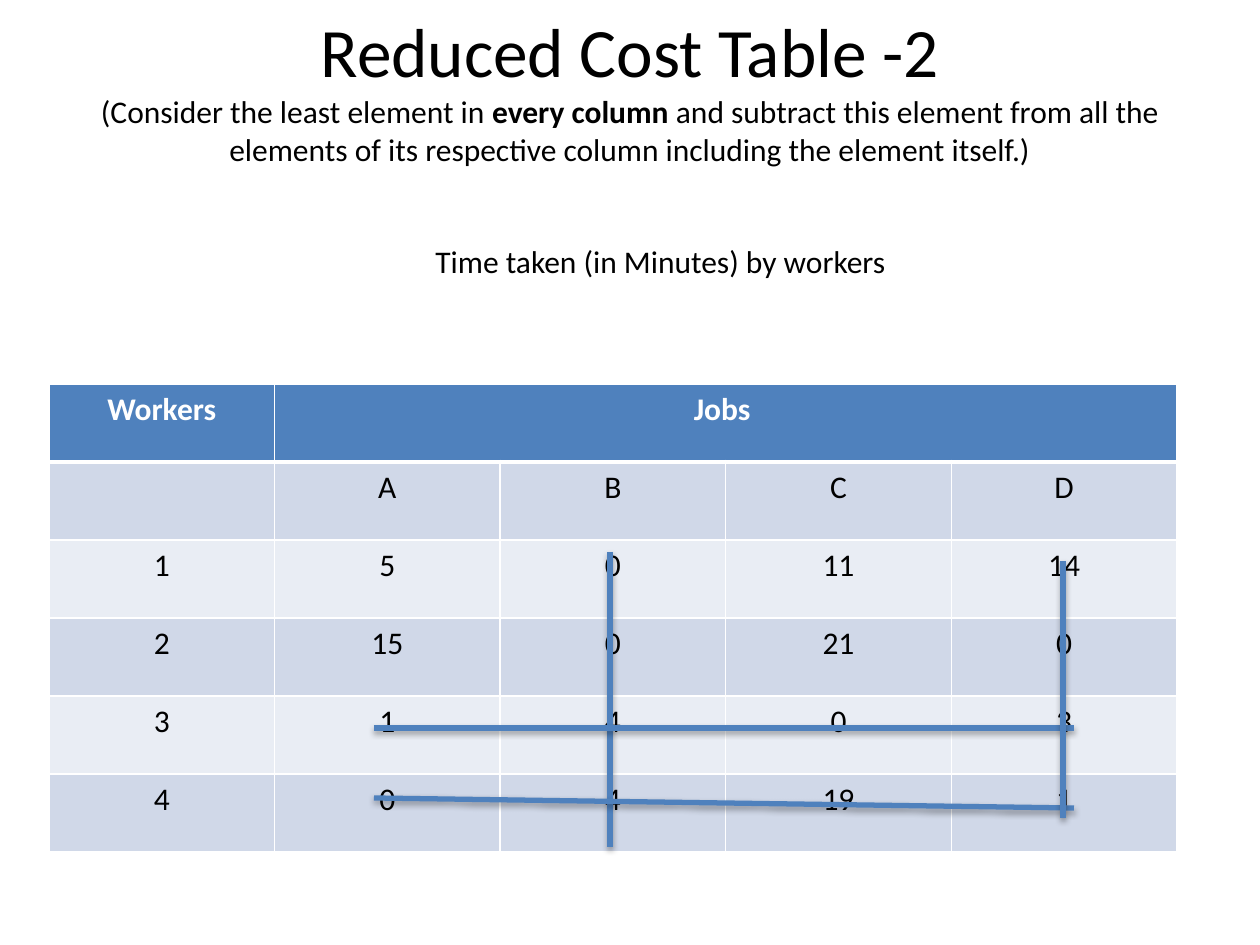
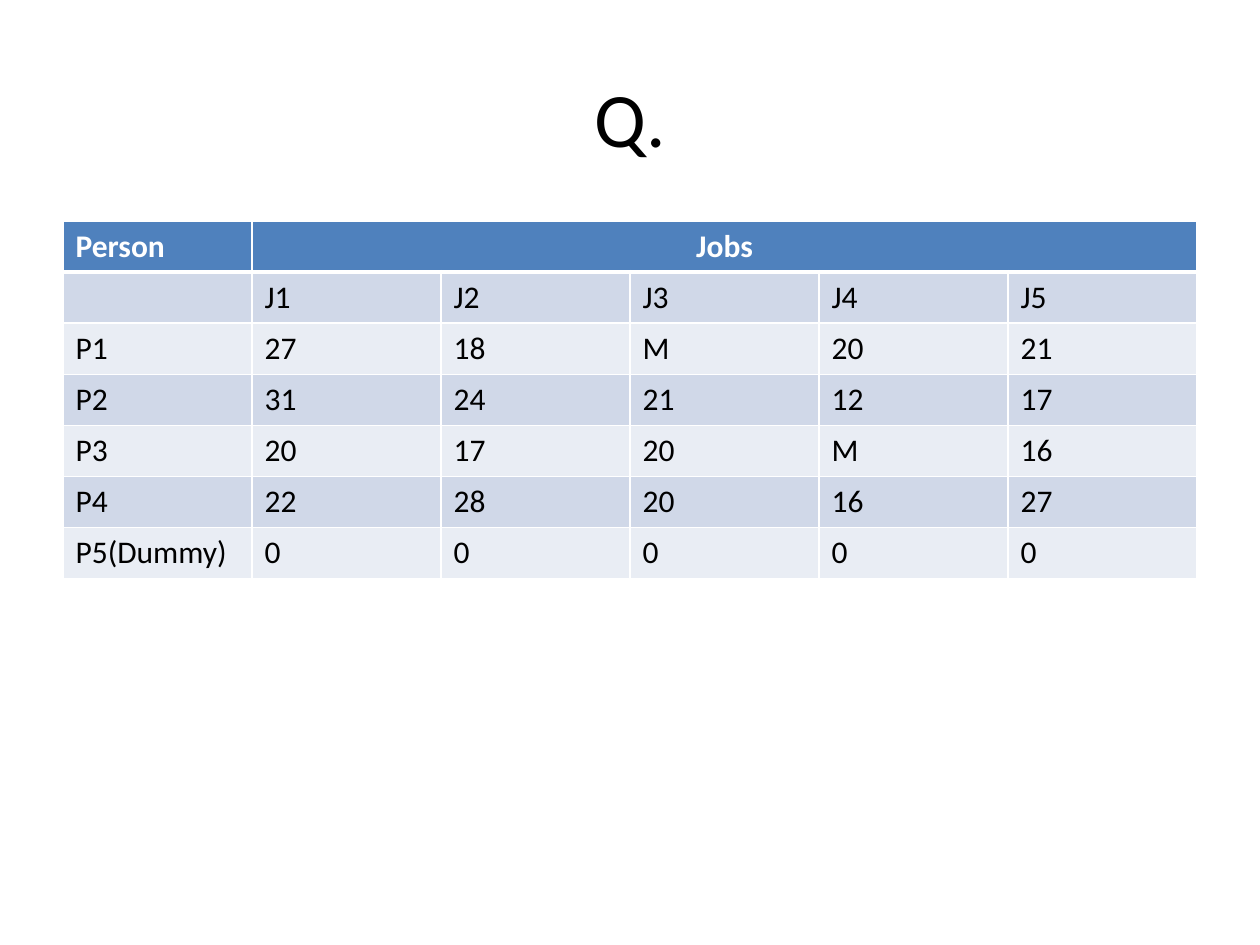
from lxml.etree import SubElement
from pptx import Presentation
from pptx.dml.color import RGBColor
from pptx.enum.shapes import MSO_CONNECTOR
from pptx.enum.text import MSO_ANCHOR, MSO_AUTO_SIZE, PP_ALIGN
from pptx.oxml.ns import qn
from pptx.util import Pt

# Shared look
PX = 914400 / 126
FONT = "Calibri"
BODY = 18
BLACK = RGBColor(0x00, 0x00, 0x00)
WHITE = RGBColor(0xFF, 0xFF, 0xFF)
BLUE = RGBColor(0x4F, 0x81, 0xBD)
BANDS = [RGBColor(0xE9, 0xED, 0xF4), RGBColor(0xD0, 0xD8, 0xE8)]

# Table contents: header row first, its second cell spans the rest
COSTS = [
    ["Workers", "Jobs "],
    ["", "A", "B", "C", "D"],
    ["1", "5", "0", "11", "14"],
    ["2", "15", "0", "21", "0"],
    ["3", "1", "4", "0", "3"],
    ["4", "0", "4", "19", "1"],
]
TIMES = [
    ["Person", "Jobs"],
    ["", "J1", "J2", "J3", "J4", "J5"],
    ["P1", "27", "18", "M", "20", "21"],
    ["P2", "31", "24", "21", "12", "17"],
    ["P3", "20", "17", "20", "M", "16"],
    ["P4", "22", "28", "20", "16", "27"],
    ["P5(Dummy)", "0", "0", "0", "0", "0"],
]

# Lines that cover the zeros: x1, y1, x2, y2
COVERS = [
    (610, 552, 610, 847),
    (374, 798, 1074, 808),
    (374, 728, 1074, 728),
    (1063, 561, 1063, 818),
]


def emu(*sizes):
    return [round(size * PX) for size in sizes]


def style(font, size=BODY, color=BLACK, bold=False):
    font.name = FONT
    font.size = Pt(size)
    font.bold = bold
    font.color.rgb = color


def add_title(slide, height, runs):
    """Fill the title with runs of (text, size, bold)."""
    title = slide.shapes.title
    title.left, title.top, title.width, title.height = emu(63, 38, 1134, height)
    frame = title.text_frame
    frame.auto_size = MSO_AUTO_SIZE.NONE
    frame.vertical_anchor = MSO_ANCHOR.MIDDLE
    para = frame.paragraphs[0]
    para.alignment = PP_ALIGN.CENTER
    for index, (text, size, bold) in enumerate(runs):
        if index == 1:
            para.add_line_break()
        run = para.add_run()
        run.text = text
        style(run.font, size, BLACK, bold)


def add_note(slide, box, text):
    frame = slide.shapes.add_textbox(*emu(*box)).text_frame
    frame.word_wrap = True
    para = frame.paragraphs[0]
    para.text = text
    style(para.font)


def edge(cell, side, width):
    props = cell._tc.get_or_add_tcPr()
    line = SubElement(props, qn("a:ln" + side), w=str(Pt(width)))
    fill = SubElement(line, qn("a:solidFill"))
    SubElement(fill, qn("a:srgbClr"), val=str(WHITE))


def add_grid(slide, box, rows, align):
    count = len(rows[-1])
    table = slide.shapes.add_table(len(rows), count, *emu(*box)).table
    for r, row in enumerate(rows):
        head = r == 0
        for c in range(count):
            cell = table.cell(r, c)
            for side in "LRTB":
                thick = (r, side) in [(0, "B"), (1, "T")]
                edge(cell, side, 3 if thick else 1)
            cell.fill.solid()
            cell.fill.fore_color.rgb = BLUE if head else BANDS[r % 2]
            if c < len(row) and row[c]:
                para = cell.text_frame.paragraphs[0]
                para.text = row[c]
                para.alignment = PP_ALIGN.CENTER if head and c else align
                style(para.font, BODY, WHITE if head else BLACK, head)
    table.cell(0, 1).merge(table.cell(0, count - 1))


def add_cover(slide, ends):
    line = slide.shapes.add_connector(MSO_CONNECTOR.STRAIGHT, *emu(*ends))
    line.line.color.rgb = BLUE
    line.line.width = Pt(3)
    # Soft shadow straight below
    effects = SubElement(line._element.spPr, qn("a:effectLst"))
    shade = SubElement(effects, qn("a:outerShdw"), blurRad="40000",
                       dist="23000", dir="5400000", rotWithShape="0")
    color = SubElement(shade, qn("a:srgbClr"), val=str(BLACK))
    SubElement(color, qn("a:alpha"), val="35000")


def main():
    deck = Presentation()
    deck.slide_width, deck.slide_height = emu(1260, 945)
    layout = deck.slide_layouts[5]

    # Slide 1: reduced costs with covering lines
    slide = deck.slides.add_slide(layout)
    add_title(slide, 100, [
        ("Reduced Cost Table -2", 39.6, False),
        ("(Consider the least element in ", BODY, False),
        ("every column", BODY, True),
        (" and subtract this element from all the elements of its "
         "respective column including the element itself.)", BODY, False),
    ])
    add_grid(slide, (49, 384, 1128, 468), COSTS, PP_ALIGN.CENTER)
    add_note(slide, (423, 236, 501, 89), "Time taken (in Minutes) by workers")
    for ends in COVERS:
        add_cover(slide, ends)

    # Slide 2: question table
    slide = deck.slides.add_slide(layout)
    add_title(slide, 158, [("Q.", 44, False)])
    add_grid(slide, (63, 221, 1134, 357), TIMES, PP_ALIGN.LEFT)

    deck.save("out.pptx")


if __name__ == "__main__":
    main()
